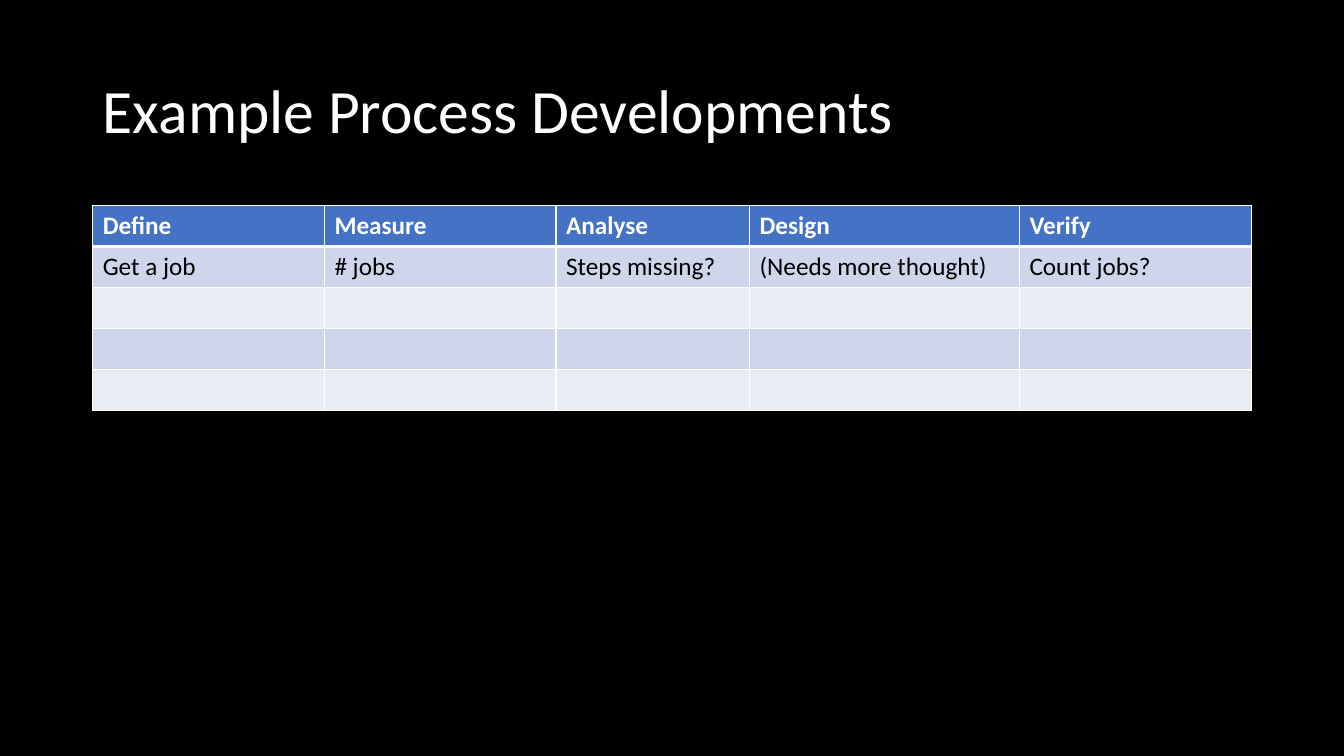
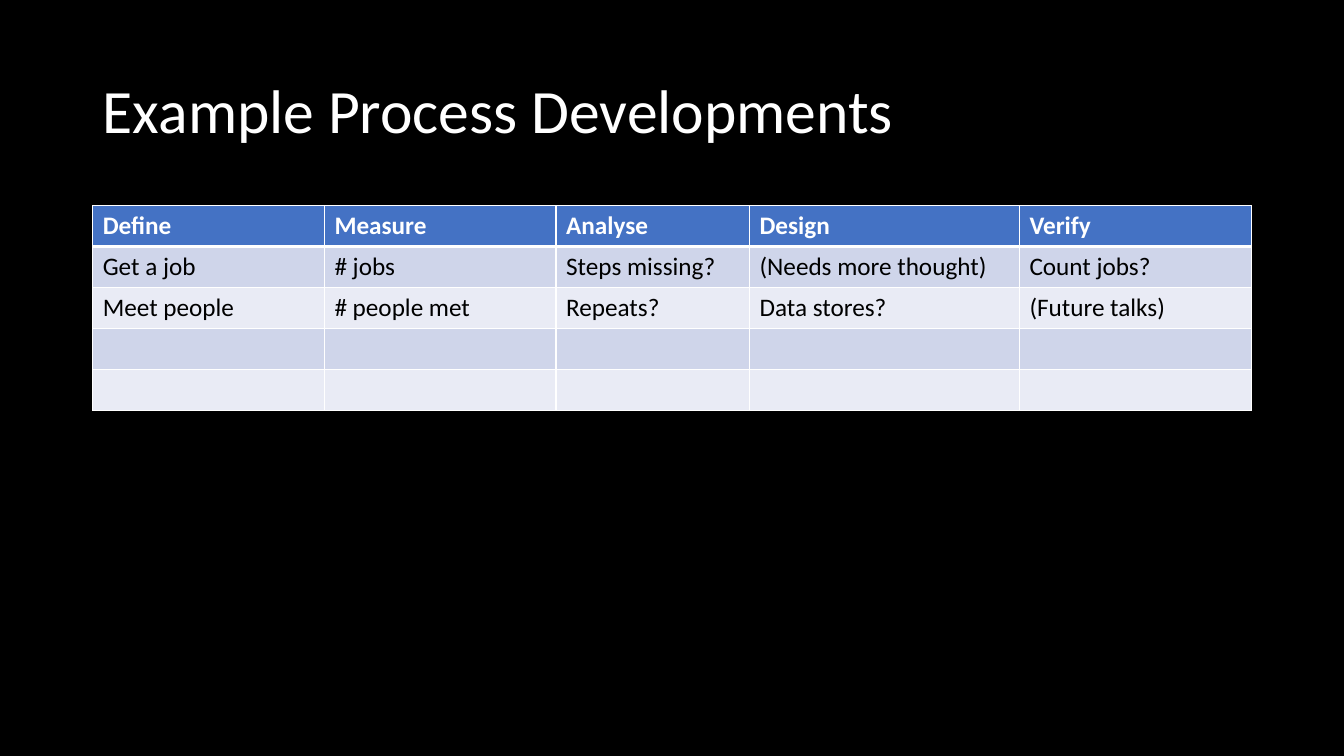
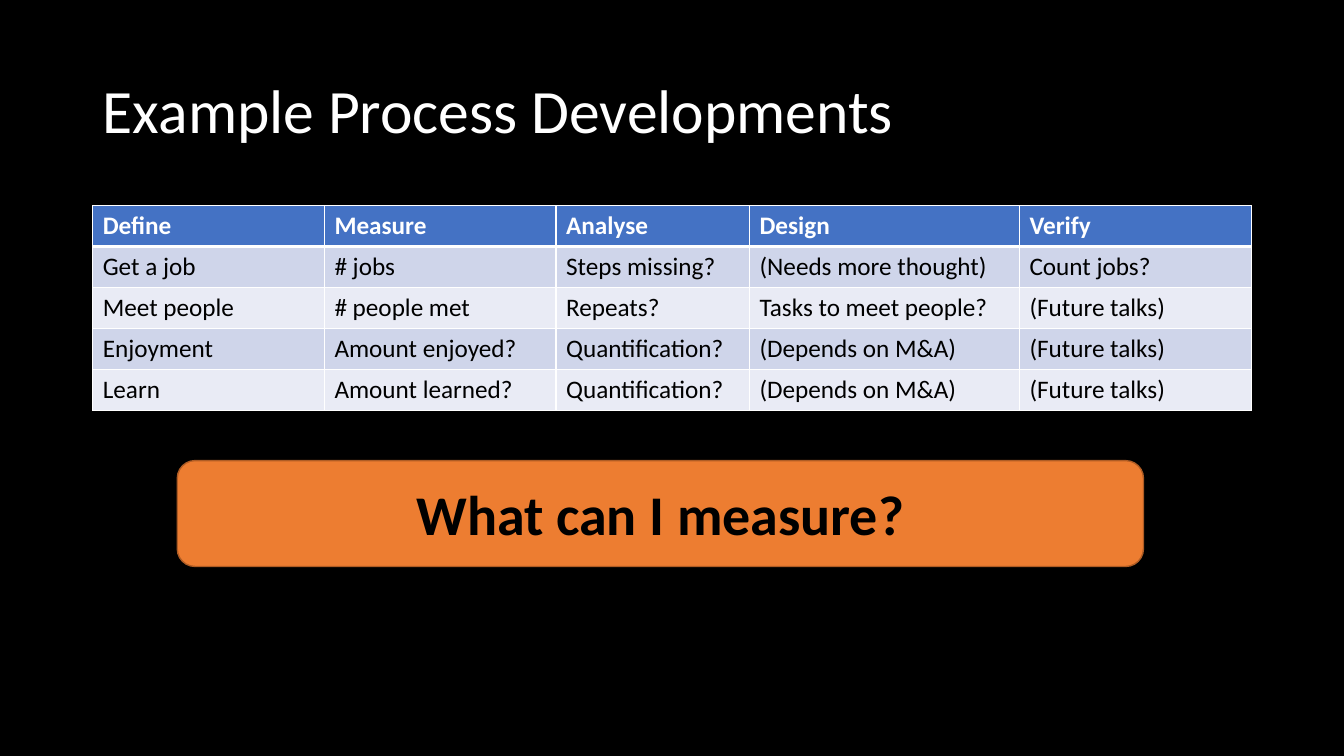
from pptx import Presentation
from pptx.dml.color import RGBColor
from pptx.enum.shapes import MSO_SHAPE as SHAPE
from pptx.enum.text import MSO_ANCHOR as ANCHOR, MSO_AUTO_SIZE as AUTO, PP_ALIGN as ALIGN
from pptx.oxml import parse_xml
from pptx.oxml.ns import nsdecls
from pptx.util import Inches, Pt

# Grid: 100 columns between the side margins, 100 rows down the slide
WIDTH, HEIGHT, MARGIN = 13.33, 7.5, 0.92
COL = (WIDTH - 2 * MARGIN) / 100
ROW = HEIGHT / 100

HEADER = ["Define", "Measure", "Analyse", "Design", "Verify"]
COLUMNS = [20, 20, 16.7, 23.3, 20]
JOB = ["Get a job", "# jobs", "Steps missing?", "(Needs more thought)", "Count jobs?"]
LATER = "(Future talks)"
UNKNOWN = ["Quantification?", "(Depends on M&A)", LATER]


def rgb(color):
    return RGBColor.from_string(color)


def people(design):
    return ["Meet people", "# people met", "Repeats?", design, LATER]


class Deck:
    back, ink, paper = "000000", "000000", "FFFFFF"
    head, bands = "4472C4", ("CFD5EA", "E9EBF5")
    accent, edge = "ED7D31", "AF5C24"
    title_font = {"size": Pt(44), "bold": False}
    cell_font = {"size": Pt(18), "bold": False}
    head_font = {"size": Pt(18), "bold": True}
    banner_font = {"size": Pt(40), "bold": True}

    def __init__(self):
        self.prs = Presentation()
        self.prs.slide_width, self.prs.slide_height = Inches(WIDTH), Inches(HEIGHT)
        fill = self.prs.slide_master.background.fill
        fill.solid()
        fill.fore_color.rgb = rgb(self.back)

    def box(self, col, row, cols, rows):
        return (Inches(MARGIN + col * COL), Inches(row * ROW),
                Inches(cols * COL), Inches(rows * ROW))

    def text(self, tf, words, style, color, align):
        p = tf.paragraphs[0]
        p.alignment = align
        r = p.add_run()
        r.text = words
        for name, value in {"name": "Calibri", **style}.items():
            setattr(r.font, name, value)
        r.font.color.rgb = rgb(color)
        return p

    def slide(self, title):
        self.s = self.prs.slides.add_slide(self.prs.slide_layouts[5])
        sp = self.s.shapes.title
        sp.left, sp.top, sp.width, sp.height = self.box(0, 5.33, 100, 19.33)
        tf = sp.text_frame
        tf.auto_size, tf.vertical_anchor = AUTO.NONE, ANCHOR.MIDDLE
        p = self.text(tf, title, self.title_font, self.paper, ALIGN.LEFT)
        p.line_spacing = 0.9

    def border(self, cell, **widths):
        # Sides go in the order left, right, top, bottom
        for side, width in widths.items():
            cell._tc.get_or_add_tcPr().append(parse_xml(
                f'<a:ln{side} {nsdecls("a")} w="{Pt(width)}"><a:solidFill>'
                f'<a:srgbClr val="{self.paper}"/></a:solidFill></a:ln{side}>'))

    def table(self, body, count=5):
        box = self.box(0, 27.2, 100, 27.1)
        table = self.s.shapes.add_table(count, len(HEADER), *box).table
        for column, cols in zip(table.columns, COLUMNS):
            column.width = Inches(cols * COL)
        rows = [HEADER] + body
        rows += [[""] * len(HEADER)] * (count - len(rows))
        for i, row in enumerate(rows):
            first = i == 0
            for j, words in enumerate(row):
                cell = table.cell(i, j)
                self.border(cell, L=1, R=1, T=3 if i == 1 else 1, B=3 if first else 1)
                cell.fill.solid()
                cell.fill.fore_color.rgb = rgb(self.head if first else self.bands[(i - 1) % 2])
                if words:
                    self.text(cell.text_frame, words,
                              self.head_font if first else self.cell_font,
                              self.paper if first else self.ink, ALIGN.LEFT)

    def banner(self, words):
        box = self.box(7.3, 60.93, 83.4, 14)
        sp = self.s.shapes.add_shape(SHAPE.ROUNDED_RECTANGLE, *box)
        sp.shadow.inherit = False
        sp.fill.solid()
        sp.fill.fore_color.rgb = rgb(self.accent)
        sp.line.color.rgb = rgb(self.edge)
        sp.line.width = Pt(1)
        tf = sp.text_frame
        tf.word_wrap, tf.vertical_anchor = True, ANCHOR.MIDDLE
        self.text(tf, words, self.banner_font, self.ink, ALIGN.CENTER)


def main():
    deck = Deck()
    # The table fills up from slide to slide
    stages = [
        [JOB],
        [JOB, people("Data stores?")],
        [JOB, people("Tasks to meet people?"),
         ["Enjoyment", "Amount enjoyed?"] + UNKNOWN,
         ["Learn", "Amount learned?"] + UNKNOWN],
    ]
    for body in stages:
        deck.slide("Example Process Developments")
        deck.table(body)
    # Closing question on the last slide
    deck.banner("What can I measure?")
    deck.prs.save("out.pptx")


if __name__ == "__main__":
    main()
